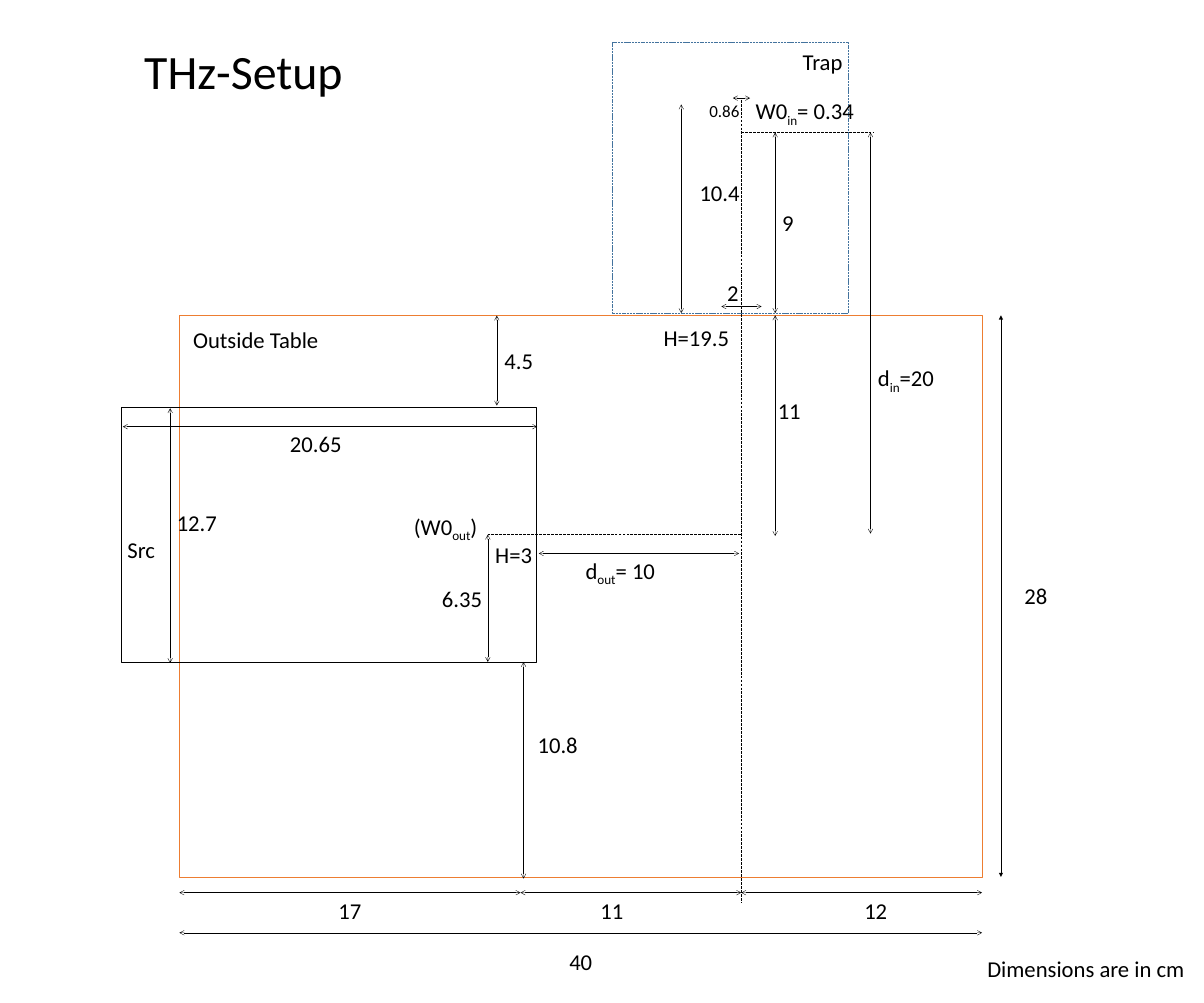
import dataclasses
import itertools

import pptx
import pptx.dml.color
import pptx.enum.dml
import pptx.enum.shapes
import pptx.enum.text
import pptx.oxml.ns
import pptx.util
from lxml import etree

Pt = pptx.util.Pt
Cm = pptx.util.Cm  # the grid: one column or row is one centimetre
rgb = pptx.dml.color.RGBColor.from_string
DASH = pptx.enum.dml.MSO_LINE
qn = pptx.oxml.ns.qn


@dataclasses.dataclass(frozen=True)
class Theme:
    font: str = "Calibri"
    ink: str = "000000"
    table_edge: str = "ED7D31"
    trap_edge: str = "43739E"
    title: float = 67.6
    body: float = 32
    small: float = 24
    thin: float = 0.5
    edge: float = 1


THEME = Theme()


@dataclasses.dataclass(frozen=True)
class Box:
    left: float
    top: float
    width: float
    height: float

    def at(self, x, y):
        return Cm(self.left + x), Cm(self.top + y)


def set_format(target, values):
    for name, value in values.items():
        setattr(target, name, value)


def set_font(font, size):
    set_format(font, {"name": THEME.font, "size": Pt(size)})
    font.color.rgb = rgb(THEME.ink)


def set_line(line, color, width, dash=None):
    line.color.rgb = rgb(color)
    set_format(line, {"width": Pt(width), "dash_style": dash})


def add_outline(slide, box, color, dash=None):
    outline = slide.shapes.add_shape(pptx.enum.shapes.MSO_SHAPE.RECTANGLE,
                                     *box.at(0, 0), Cm(box.width), Cm(box.height))
    outline.shadow.inherit = False
    outline.fill.background()
    set_line(outline.line, color, THEME.edge, dash)


def add_line(slide, box, start, end, head=None, dash=None):
    rule = slide.shapes.add_connector(pptx.enum.shapes.MSO_CONNECTOR.STRAIGHT,
                                      *box.at(*start), *box.at(*end))
    set_line(rule.line, THEME.ink, THEME.thin, dash)
    etree.SubElement(rule._element.spPr, qn("a:effectLst"))
    if head:
        stroke = rule.line._get_or_add_ln()
        for tip in ("a:headEnd", "a:tailEnd"):
            etree.SubElement(stroke, qn(tip)).set("type", head)


def add_across(slide, box, y, x1, x2):
    add_line(slide, box, (x1, y), (x2, y), "arrow")


def add_upright(slide, box, x, y1, y2, head="arrow"):
    add_line(slide, box, (x, y1), (x, y2), head)


def add_label(slide, box, text, x, y, width, size=THEME.body):
    """Underscores enclose a subscript."""
    label = slide.shapes.add_textbox(*box.at(x, y), Cm(width), Pt(1.22 * size + 7.2))
    set_format(label.text_frame, {"word_wrap": False,
                                  "auto_size": pptx.enum.text.MSO_AUTO_SIZE.SHAPE_TO_FIT_TEXT})
    for index, piece in enumerate(text.split("_")):
        run = label.text_frame.paragraphs[0].add_run()
        run.text = piece
        set_font(run.font, size)
        if index % 2:
            run.font._element.set("baseline", "-25000")


def add_title(slide, box):
    title = slide.shapes.title
    left, top = box.at(0, 0)
    set_format(title, {"left": left, "top": top,
                       "width": Cm(box.width), "height": Cm(box.height)})
    title.text_frame.text = "THz-Setup"
    title.text_frame.vertical_anchor = pptx.enum.text.MSO_ANCHOR.TOP
    paragraph = title.text_frame.paragraphs[0]
    set_format(paragraph, {"alignment": pptx.enum.text.PP_ALIGN.CENTER, "line_spacing": 0.9})
    set_font(paragraph.runs[0].font, THEME.title)


def add_table_plan(slide, box):
    add_outline(slide, box, THEME.table_edge)
    add_upright(slide, box, box.width + 0.94, 0, box.height, "triangle")
    add_upright(slide, box, 29.69, 0, 11)
    add_across(slide, box, box.height + 2.78, 0, box.width)
    # Chain of widths below the table
    stops = itertools.accumulate((17, 11, 12), initial=0)
    for start, end in itertools.pairwise(stops):
        add_across(slide, box, box.height + 0.78, start, end)
    for text, x in (("17", 7.67), ("11", 20.73), ("12", 33.88)):
        add_label(slide, box, text, x, box.height + 0.88, 1.68)
    for label in (("40", 19.18, box.height + 3.42, 1.68),
                  ("28", box.width + 1.86, 13.18, 1.68),
                  ("11", 29.57, 3.94, 1.68),
                  ("Outside Table", 0.43, 0.41, 6.83),
                  ("H=19.5", 23.88, 0.28, 3.81)):
        add_label(slide, box, *label)


def add_trap(slide, box):
    beam, focus, floor = 6.45, 4.5, box.height - 0.03
    add_outline(slide, box, THEME.trap_edge, DASH.SQUARE_DOT)
    # Beam axis and focal plane
    add_line(slide, box, (beam, 2.87), (beam, 42.88), dash=DASH.LONG_DASH)
    add_line(slide, box, (beam, focus), (13, focus), dash=DASH.LONG_DASH)
    # Openings
    for y, opening in ((2.79, 0.86), (13.18, 2)):
        add_across(slide, box, y, beam - opening / 2, beam + opening / 2)
    # Heights
    add_upright(slide, box, 3.45, floor - 10.4, floor)
    add_upright(slide, box, 8.13, focus, floor)
    add_upright(slide, box, 12.88, focus, focus + 20)
    for label in (("Trap", 9.25, 0.18, 2.51),
                  ("0.86", 4.6, 2.79, 2.03, THEME.small),
                  ("W0_in_= 0.34", 6.91, 2.62, 5.54),
                  ("10.4", 4.11, 6.68, 2.54),
                  ("9", 8.23, 8.2, 1.09),
                  ("2", 5.49, 11.68, 1.09),
                  ("d_in_=20", 13, 15.93, 3.4)):
        add_label(slide, box, *label)


def add_source(slide, box):
    middle = box.height / 2
    add_outline(slide, box, THEME.ink)
    # Own size
    add_across(slide, box, 0.97, 0.05, box.width + 0.05)
    add_upright(slide, box, 2.41, 0.05, box.height + 0.05)
    add_upright(slide, box, 18.24, middle, box.height)
    # Distances to the table edges and to the beam axis
    add_upright(slide, box, 18.69, -4.57, -0.08)
    add_upright(slide, box, 20.02, box.height, box.height + 10.8)
    add_across(slide, box, 7.29, box.width + 0.13, 30.76)
    add_line(slide, box, (30.84, middle), (18.24, middle), dash=DASH.LONG_DASH)
    for label in (("Src", 0.03, 6.3, 2.13),
                  ("4.5", 18.82, -3.12, 1.96),
                  ("20.65", 8.13, 1.02, 3.12),
                  ("12.7", 2.49, 4.93, 2.54),
                  ("(W0_out_)", 14.3, 5.13, 3.86),
                  ("H=3", 18.36, 6.53, 2.36),
                  ("6.35", 15.7, 8.74, 2.54),
                  ("d_out_= 10", 22.86, 7.32, 4.17),
                  ("10.8", 20.47, 16, 2.54)):
        add_label(slide, box, *label)


deck = pptx.Presentation()
set_format(deck, {"slide_width": Cm(60), "slide_height": Cm(50)})
setup = deck.slides.add_slide(deck.slide_layouts[5])
add_title(setup, Box(4.47, 2.26, 15.32, 3.68))
add_table_plan(setup, Box(8.94, 15.72, 40, 28))
add_trap(setup, Box(30.5, 2.1, 11.8, 13.54))
add_source(setup, Box(6.07, 20.3, 20.65, 12.7))
add_label(setup, Box(0, 0, 60, 50), "Dimensions are in cm", 48.95, 47.45, 10.44)
deck.save("out.pptx")
